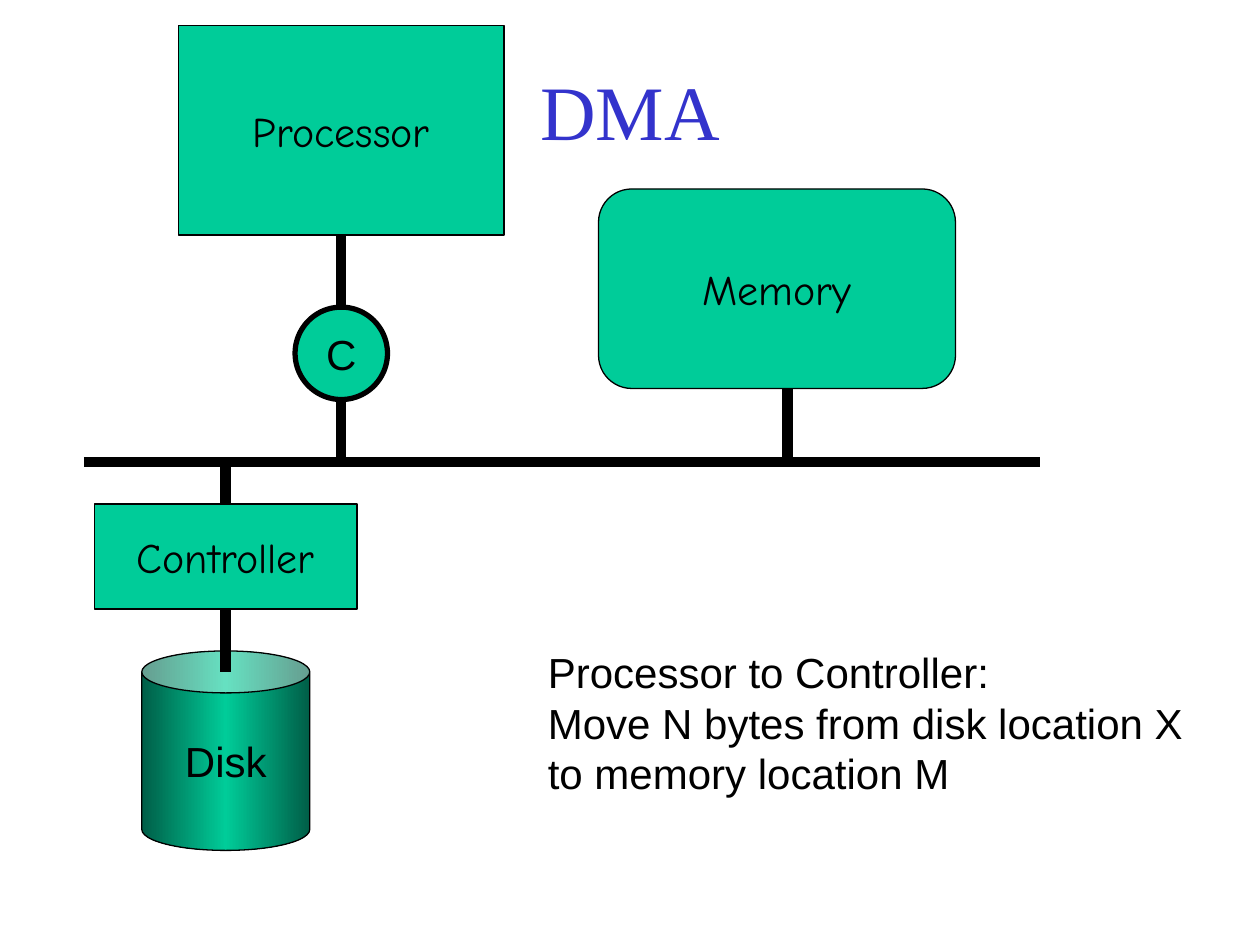
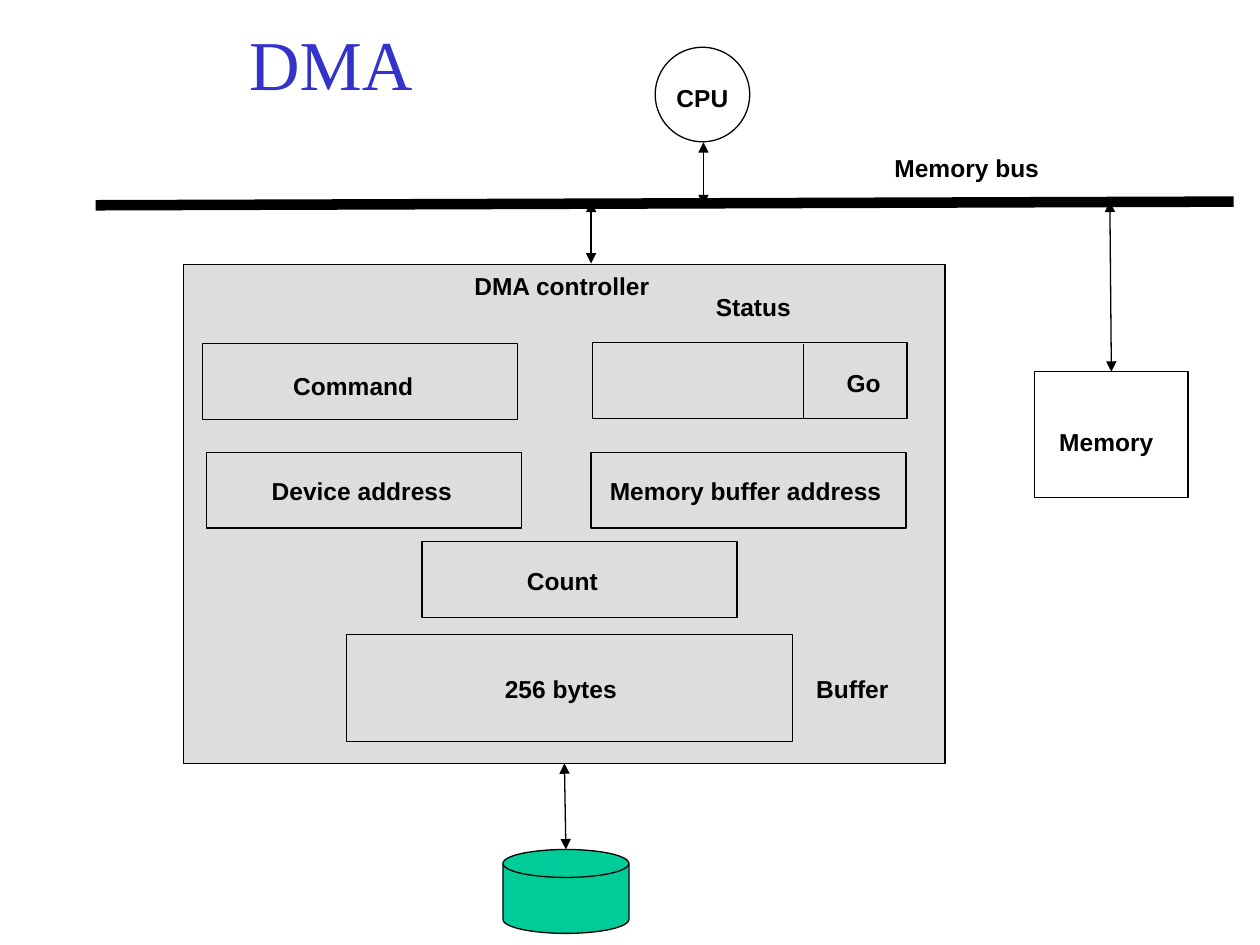
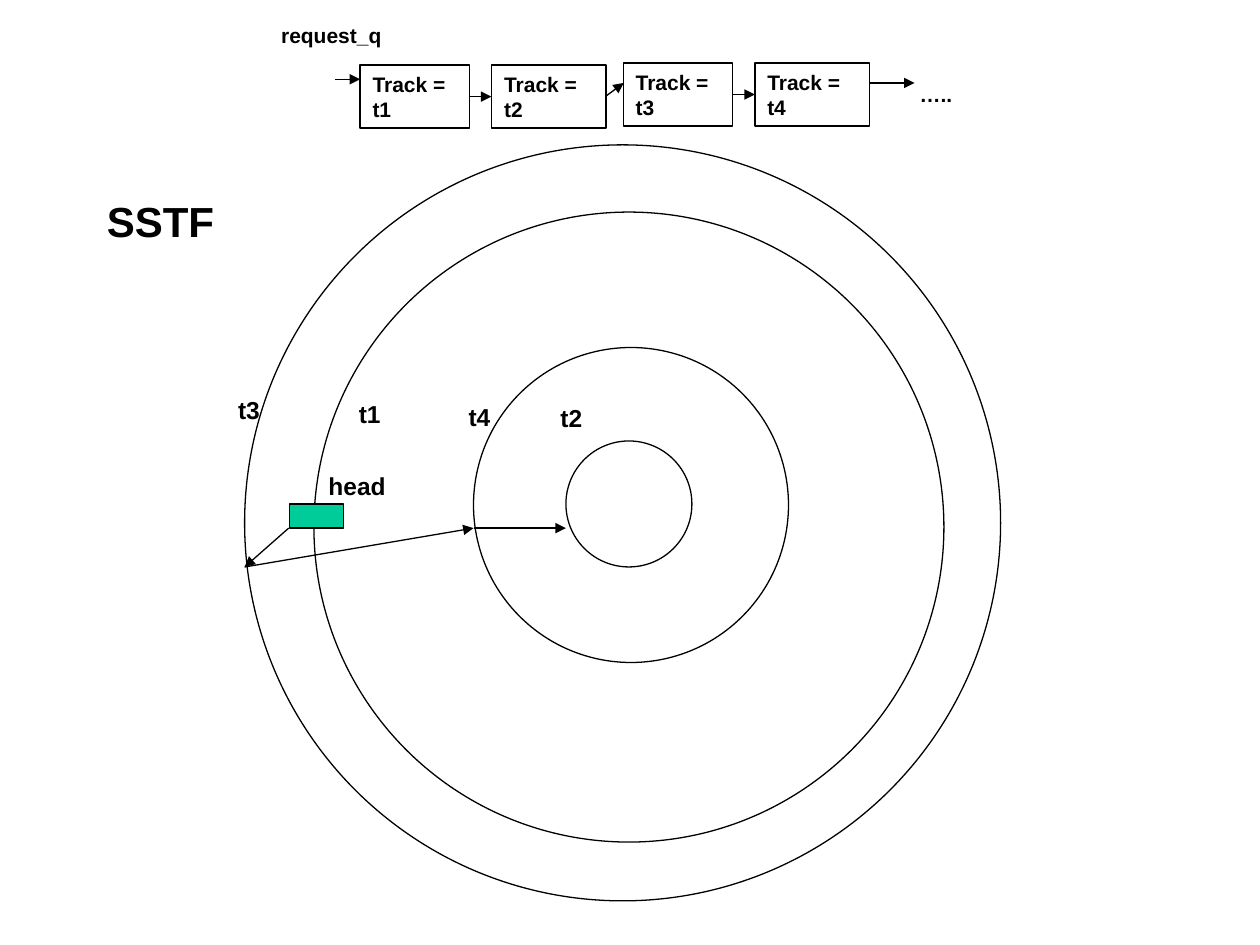
from copy import deepcopy
from dataclasses import dataclass
from itertools import pairwise
from typing import Any, NamedTuple

from lxml import etree
from pptx import Presentation
from pptx import util as u
from pptx.dml.color import RGBColor
from pptx.enum import shapes, text
from pptx.oxml.ns import qn

# Grid: 120 columns by 90 rows of square cells
COLUMNS, ROWS = 120, 90
CELL = u.Inches(10) / COLUMNS


def cells(*counts: float) -> list[u.Emu]:
    return [u.Emu(round(count * CELL)) for count in counts]


# Theme
class Face(NamedTuple):
    font: str
    size: float
    color: str = "000000"
    bold: bool = False


@dataclass(frozen=True)
class Theme:
    ink: str = "000000"
    green: str = "00CC99"
    dark_green: str = "005E47"
    gray: str = "DDDDDD"
    thin: float = 0.75
    ring: float = 3
    thick: float = 6
    title: Face = Face("Times New Roman", 44, "3333CC")
    small_title: Face = Face("Times New Roman", 40, "3333CC")
    comic: Face = Face("Comic Neue", 24)
    plain: Face = Face("Arial", 24)
    heading: Face = Face("Arial", 24, bold=True)
    label: Face = Face("Arial", 14, bold=True)
    small: Face = Face("Arial", 12, bold=True)


THEME = Theme()
SHADED = (THEME.dark_green, THEME.green, THEME.dark_green)
KIND = shapes.MSO_SHAPE


# Text placement inside a box
class Setting(NamedTuple):
    frame: dict[str, Any]
    align: text.PP_ALIGN


MIDDLE = Setting({"word_wrap": False, "vertical_anchor": text.MSO_ANCHOR.MIDDLE},
                 text.PP_ALIGN.CENTER)
LEFT = Setting({"word_wrap": False, "vertical_anchor": text.MSO_ANCHOR.TOP,
                "auto_size": text.MSO_AUTO_SIZE.SHAPE_TO_FIT_TEXT}, text.PP_ALIGN.LEFT)
WRAPPED = Setting(LEFT.frame | {"word_wrap": True}, text.PP_ALIGN.LEFT)


# Repeated elements, measured in cells
@dataclass(frozen=True)
class Node:
    kind: shapes.MSO_SHAPE
    left: float
    top: float
    width: float
    height: float
    fill: str | tuple[str, ...] | None = None
    words: str = ""
    face: Face = THEME.plain
    line: float = THEME.thin
    setting: Setting = MIDDLE


@dataclass(frozen=True)
class Label:
    words: str
    left: float
    top: float
    width: float
    height: float = 4.1
    face: Face = THEME.label
    setting: Setting = LEFT


@dataclass(frozen=True)
class Link:
    x1: float
    y1: float
    x2: float
    y2: float
    line: float = THEME.thin
    ends: tuple[str, ...] = ()


Part = Node | Label | Link
TO = ("tailEnd",)
BOTH = ("headEnd", "tailEnd")


# Drawing
def set_all(target: Any, values: dict[str, Any]) -> None:
    for name, value in values.items():
        setattr(target, name, value)


def write(frame: Any, words: str, face: Face, setting: Setting) -> None:
    set_all(frame, setting.frame)
    for index, line in enumerate(words.split("\n")):
        para = frame.paragraphs[0] if index == 0 else frame.add_paragraph()
        para.alignment = setting.align
        span = para.add_run()
        span.text = line
        set_all(span.font, {"name": face.font, "size": u.Pt(face.size), "bold": face.bold})
        span.font.color.rgb = RGBColor.from_string(face.color)


def paint(box: Any, fill: str | tuple[str, ...] | None) -> None:
    if fill is None:
        box.fill.background()
    elif isinstance(fill, str):
        box.fill.solid()
        box.fill.fore_color.rgb = RGBColor.from_string(fill)
    else:
        box.fill.gradient()
        box.fill.gradient_angle = 0
        stops = box._element.spPr.find(".//" + qn("a:gsLst"))
        while len(stops) < len(fill):
            stops.append(deepcopy(stops[0]))
        for index, stop in enumerate(box.fill.gradient_stops):
            stop.position = index / (len(fill) - 1)
            stop.color.rgb = RGBColor.from_string(fill[index])


def stroke(item: Any, width: float) -> None:
    item.line.color.rgb = RGBColor.from_string(THEME.ink)
    item.line.width = u.Pt(width)


def draw_node(page: Any, node: Node) -> None:
    box = page.shapes.add_shape(node.kind, *cells(node.left, node.top, node.width, node.height))
    box.shadow.inherit = False
    paint(box, node.fill)
    stroke(box, node.line)
    if node.words:
        write(box.text_frame, node.words, node.face, node.setting)


def draw_label(page: Any, label: Label) -> None:
    box = page.shapes.add_textbox(*cells(label.left, label.top, label.width, label.height))
    write(box.text_frame, label.words, label.face, label.setting)


def draw_link(page: Any, link: Link) -> None:
    wire = page.shapes.add_connector(shapes.MSO_CONNECTOR.STRAIGHT,
                                     *cells(link.x1, link.y1, link.x2, link.y2))
    stroke(wire, link.line)
    for end in link.ends:
        etree.SubElement(wire.line._get_or_add_ln(), qn(f"a:{end}"), type="triangle")
    etree.SubElement(wire._element.spPr, qn("a:effectLst"))


DRAW = {Node: draw_node, Label: draw_label, Link: draw_link}


# Slide 1: computer with a disk controller on its bus
def computer() -> list[Part]:
    cpu_x, memory_x, disk_x, bus_y = 32.5, 75, 21.5, 44
    wires = [(cpu_x, 38, cpu_x, bus_y), (memory_x, 37, memory_x, bus_y),
             (disk_x, 64, disk_x, 58), (disk_x, 48, disk_x, bus_y),
             (cpu_x, 29.3, cpu_x, 22.4), (8, bus_y, 99, bus_y)]
    return [
        Label("DMA", 9, 5, 102, 11, THEME.title, MIDDLE),
        Node(KIND.ROUNDED_RECTANGLE, 57, 18, 34, 19, THEME.green, "Memory", THEME.comic),
        Node(KIND.RECTANGLE, 17, 2.4, 31, 20, THEME.green, "Processor", THEME.comic),
        Node(KIND.CAN, 13.5, 62, 16, 19, SHADED, "Disk"),
        Node(KIND.RECTANGLE, 9, 48, 25, 10, THEME.green, "Controller", THEME.comic),
        *(Link(*wire, THEME.thick) for wire in wires),
        Node(KIND.OVAL, 28.1, 29.25, 8.8, 8.8, THEME.green, "C", line=THEME.ring),
        Label("Processor to Controller:\nMove N bytes from disk location X\nto memory location M",
              51, 61, 62.9, 15.6, THEME.plain),
    ]


# Slide 2: registers of the DMA controller
def controller() -> list[Part]:
    registers = [(19.3, 32.75), (56.4, 32.65), (19.7, 43.1), (56.3, 43.1), (40.2, 51.6)]
    labels = [
        ("Command", 26.75, 34.7, 15.1), ("DMA controller", 44, 25.2, 20.4),
        ("Buffer", 76.55, 63.6, 10.55), ("256 bytes", 46.9, 63.6, 15),
        ("Status", 67, 27.25, 11.5), ("Device address", 24.7, 44.75, 20.9),
        ("Memory buffer address", 56.9, 44.75, 29.5), ("Count", 49, 53.3, 10.45),
        ("Memory", 99.7, 40.1, 12.6), ("Memory bus", 84, 14, 17.4),
        ("CPU", 63.25, 7.3, 7.9), ("Go", 79.45, 34.45, 6.95),
    ]
    arrows = [(56.3, 19.2, 56.3, 25.1), (105.7, 19.2, 105.85, 35.4),
              (53.75, 72.7, 53.9, 80.9), (67, 13.55, 67, 19.55)]
    return [
        Node(KIND.RECTANGLE, 17.5, 25.2, 72.5, 47.5, THEME.gray),
        *(Node(KIND.RECTANGLE, left, top, 30, 7.2) for left, top in registers),
        Node(KIND.RECTANGLE, 33, 60.4, 42.5, 10.2),
        Link(76.55, 32.75, 76.55, 39.85),
        Link(9.1, 19.55, 117.5, 19.2, THEME.thick),
        Node(KIND.RECTANGLE, 98.5, 35.4, 14.65, 12),
        Node(KIND.FLOWCHART_MAGNETIC_DISK, 47.9, 80.9, 12, 8, THEME.green),
        Node(KIND.OVAL, 62.4, 4.5, 9, 9),
        *(Link(*arrow, ends=BOTH) for arrow in arrows),
        *(Label(*label) for label in labels),
        Label("DMA", 9, 2, 45, 8, THEME.small_title, MIDDLE),
    ]


# Slide 3: shortest seek time first
def seek_order() -> list[Part]:
    tracks = [(53.9, 42, 12), (29.9, 20.2, 60), (23.3, 13.8, 72), (45.1, 33.1, 30)]
    names = [("t3", 21.5, 37), ("t1", 33, 37.45), ("t4", 43.45, 37.7), ("t2", 52.2, 37.8)]
    head_moves = [(27.5, 50.3), (23.3, 54), (45.1, 50.3), (53.9, 50.3)]
    queue_tops = (6.2, 6.2, 6, 6)
    queue_links = [(31.9, 7.55, 34.3, 7.55), (44.65, 9.2, 46.8, 9.2), (57.65, 9.2, 59.4, 7.9),
                   (69.8, 9, 71.9, 9), (82.8, 7.9, 87.1, 7.9)]
    return [
        *(Node(KIND.OVAL, left, top, size, size) for left, top, size in tracks),
        *(Label(*name, 5.15) for name in names),
        Node(KIND.RECTANGLE, 27.6, 48, 5.15, 2.3, THEME.green),
        *(Link(*start, *end, ends=TO) for start, end in pairwise(head_moves)),
        Label("head", 30.1, 44.3, 8.5),
        Label("SSTF", 9, 18, 12.6, 6, THEME.heading),
        *(Node(KIND.RECTANGLE, 34.3 + 12.53 * index, top, 10.4 + 0.5 * (index % 2), 6,
               words=f"Track = t{index + 1}", face=THEME.small, setting=WRAPPED)
          for index, top in enumerate(queue_tops)),
        *(Link(*link, ends=TO) for link in queue_links),
        Label("request_q", 25.6, 1.6, 12.85, 3.6, THEME.small, WRAPPED),
        Label("…..", 86.4, 7.2, 5.5, 3.6, THEME.small),
    ]


def main() -> None:
    deck = Presentation()
    deck.slide_width, deck.slide_height = cells(COLUMNS, ROWS)
    for parts in (computer(), controller(), seek_order()):
        page = deck.slides.add_slide(deck.slide_layouts[6])
        for part in parts:
            DRAW[type(part)](page, part)
    deck.save("out.pptx")


if __name__ == "__main__":
    main()
